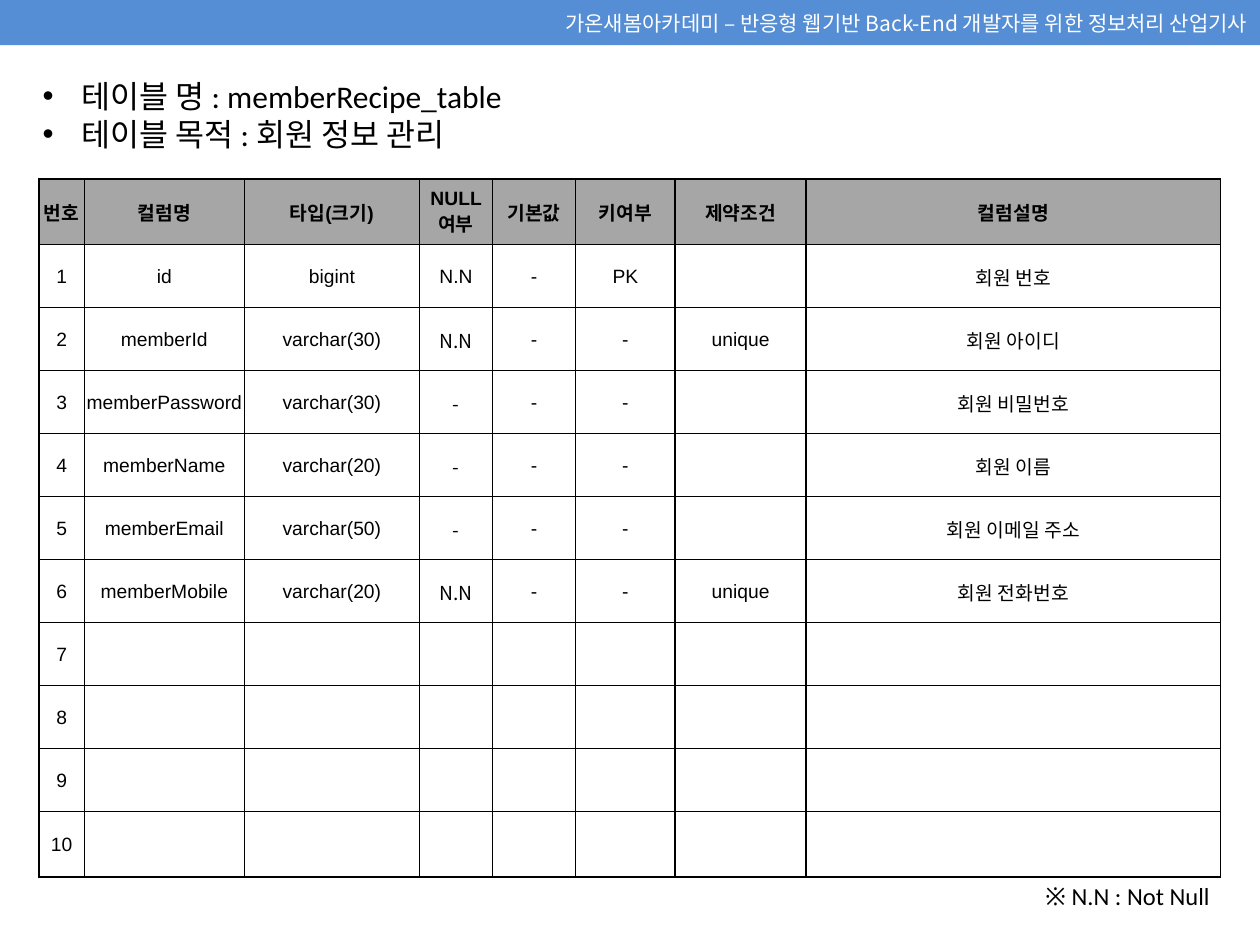
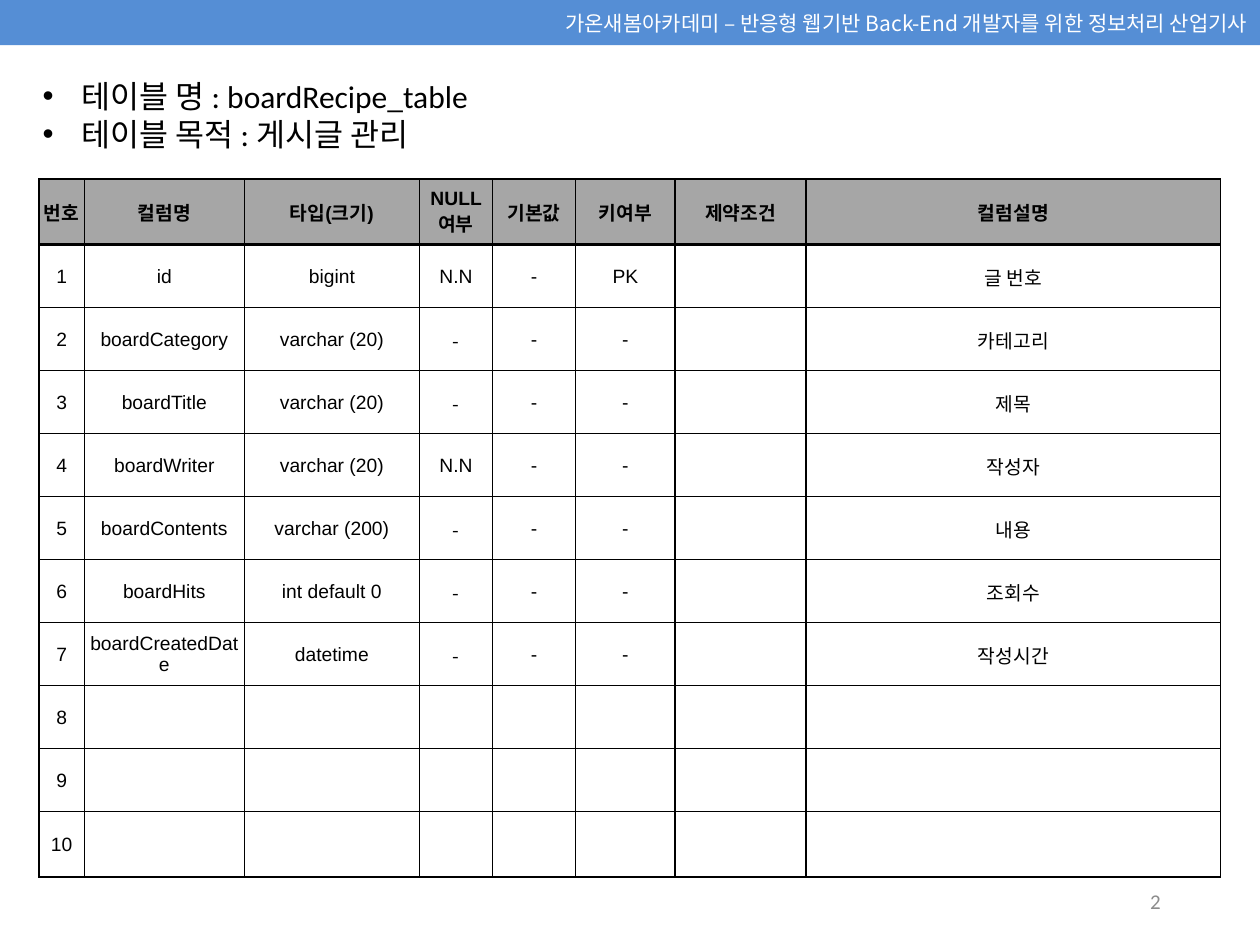
from dataclasses import dataclass
from typing import Optional

from lxml.etree import SubElement
from pptx import Presentation
from pptx.dml.color import RGBColor
from pptx.enum.shapes import MSO_SHAPE
from pptx.enum.text import MSO_ANCHOR, MSO_AUTO_SIZE, PP_ALIGN
from pptx.oxml.ns import qn
from pptx.util import Inches, Pt

COLORS = {
    "band": "558ED5",
    "header": "A6A6A6",
    "ink": "000000",
    "paper": "FFFFFF",
    "muted": "8C8C8C",
}
ARIAL, CALIBRI, NOTO = "Arial", "Calibri", "Noto Sans CJK KR"

COURSE = "가온새봄아카데미 – 반응형 웹기반 Back-End 개발자를 위한 정보처리 산업기사"
HEADINGS = ["번호", "컬럼명", "타입(크기)", "NULL 여부",
            "기본값", "키여부", "제약조건", "컬럼설명"]
COLUMN_WIDTHS = [0.36, 1.27, 1.39, 0.58, 0.66, 0.79, 1.04, 3.29]
NULL_COLUMN = HEADINGS.index("NULL 여부")
ENTRY_COUNT = 10
ROW_HEIGHTS = [0.52] + [0.5] * (ENTRY_COUNT - 1) + [0.52]


@dataclass
class Field:
    """One column of a database table."""
    name: str
    type: str
    meaning: str
    null: str = "-"
    key: str = "-"
    constraint: str = ""
    null_font: str = NOTO

    def values(self) -> list[str]:
        """Return the cell texts that follow the row number."""
        return [self.name, self.type, self.null, "-", self.key,
                self.constraint, self.meaning]


@dataclass
class TableSpec:
    """The content of one slide."""
    name: str
    purpose: str
    fields: list[Field]
    header_rule: float = 1
    note: Optional[str] = None
    numbered: bool = False


SPECS = [
    TableSpec("memberRecipe_table", "회원 정보 관리", [
        Field("id", "bigint", "회원 번호", "N.N", "PK", null_font=ARIAL),
        Field("memberId", "varchar(30)", "회원 아이디", "N.N", constraint="unique"),
        Field("memberPassword", "varchar(30)", "회원 비밀번호"),
        Field("memberName", "varchar(20)", "회원 이름"),
        Field("memberEmail", "varchar(50)", "회원 이메일 주소"),
        Field("memberMobile", "varchar(20)", "회원 전화번호", "N.N",
              constraint="unique"),
    ], note="※ N.N : Not Null"),
    TableSpec("boardRecipe_table", "게시글 관리", [
        Field("id", "bigint", "글 번호", "N.N", "PK", null_font=ARIAL),
        Field("boardCategory", "varchar (20)", "카테고리"),
        Field("boardTitle", "varchar (20)", "제목"),
        Field("boardWriter", "varchar (20)", "작성자", "N.N", null_font=ARIAL),
        Field("boardContents", "varchar (200)", "내용"),
        Field("boardHits", "int default 0", "조회수"),
        Field("boardCreatedDate", "datetime", "작성시간"),
    ], header_rule=2, numbered=True),
]


def style(paragraph, size: float, font: str, color: str = "ink",
          align=PP_ALIGN.LEFT, bold: bool = False) -> None:
    """Set the font, colour and alignment of a paragraph."""
    paragraph.alignment = align
    paragraph.font.size = Pt(size)
    paragraph.font.bold = bold
    paragraph.font.color.rgb = RGBColor.from_string(COLORS[color])
    paragraph.font.name = font
    defaults = paragraph._p.pPr.find(qn("a:defRPr"))
    SubElement(defaults, qn("a:ea"), typeface=NOTO)


def add_text_frame(slide, left: float, top: float, width: float, height: float):
    """Add a wrapping text box and return its text frame."""
    frame = slide.shapes.add_textbox(
        Inches(left), Inches(top), Inches(width), Inches(height)).text_frame
    frame.word_wrap = True
    return frame


def add_band(slide) -> None:
    """Draw the course band along the top edge."""
    band = slide.shapes.add_shape(
        MSO_SHAPE.RECTANGLE, 0, 0, Inches(10), Inches(0.36))
    band.shadow.inherit = False
    band.fill.solid()
    band.fill.fore_color.rgb = RGBColor.from_string(COLORS["band"])
    band.line.fill.background()
    band.text_frame.vertical_anchor = MSO_ANCHOR.MIDDLE
    band.text_frame.text = COURSE
    style(band.text_frame.paragraphs[0], 12, NOTO, "paper", PP_ALIGN.RIGHT)


def add_summary(slide, spec: TableSpec) -> None:
    """Add the bulleted name and purpose of the table."""
    frame = add_text_frame(slide, 0.24, 0.56, 9.49, 0.69)
    frame.auto_size = MSO_AUTO_SIZE.SHAPE_TO_FIT_TEXT
    frame.text = f"테이블 명 : {spec.name}\n테이블 목적 : {spec.purpose}"
    for paragraph in frame.paragraphs:
        properties = paragraph._p.get_or_add_pPr()
        properties.set("marL", str(Inches(0.31)))
        properties.set("indent", str(-Inches(0.31)))
        SubElement(properties, qn("a:buFont"), typeface=ARIAL)
        SubElement(properties, qn("a:buChar"), char="•")
        style(paragraph, 18, CALIBRI)


def set_borders(cell, top: float = 1, bottom: float = 1) -> None:
    """Rule all four sides of a cell, with widths in points."""
    properties = cell._tc.get_or_add_tcPr()
    for side, width in {"L": 1, "R": 1, "T": top, "B": bottom}.items():
        line = SubElement(properties, qn(f"a:ln{side}"), w=str(Pt(width)))
        fill = SubElement(line, qn("a:solidFill"))
        SubElement(fill, qn("a:srgbClr"), val=COLORS["ink"])


def fill_cell(cell, text: str, font: str = ARIAL, bold: bool = False) -> None:
    """Write centred text into a cell with narrow margins."""
    cell.vertical_anchor = MSO_ANCHOR.MIDDLE
    cell.margin_left = cell.margin_right = cell.margin_top = Inches(0.01)
    cell.margin_bottom = 0
    cell.text = text
    style(cell.text_frame.paragraphs[0], 11, font,
          align=PP_ALIGN.CENTER, bold=bold)


def add_field_table(slide, spec: TableSpec) -> None:
    """Add the grid that lists the fields of a database table."""
    grid = slide.shapes.add_table(
        len(ROW_HEIGHTS), len(HEADINGS), Inches(0.31), Inches(1.42),
        Inches(sum(COLUMN_WIDTHS)), Inches(sum(ROW_HEIGHTS))).table
    grid.first_row = grid.horz_banding = False
    for column, width in zip(grid.columns, COLUMN_WIDTHS):
        column.width = Inches(width)
    for row, height in zip(grid.rows, ROW_HEIGHTS):
        row.height = Inches(height)

    for index, heading in enumerate(HEADINGS):
        cell = grid.cell(0, index)
        set_borders(cell, bottom=spec.header_rule)
        cell.fill.solid()
        cell.fill.fore_color.rgb = RGBColor.from_string(COLORS["header"])
        fill_cell(cell, heading, bold=True)

    for number in range(1, ENTRY_COUNT + 1):
        field = spec.fields[number - 1] if number <= len(spec.fields) else None
        values = field.values() if field else [""] * (len(HEADINGS) - 1)
        for index, value in enumerate([str(number)] + values):
            cell = grid.cell(number, index)
            set_borders(cell, top=spec.header_rule if number == 1 else 1)
            cell.fill.background()
            is_null = field is not None and index == NULL_COLUMN
            fill_cell(cell, value, field.null_font if is_null else ARIAL)


def add_note(slide, note: str) -> None:
    """Add the legend below the table."""
    frame = add_text_frame(slide, 8.15, 6.94, 1.55, 0.34)
    frame.auto_size = MSO_AUTO_SIZE.SHAPE_TO_FIT_TEXT
    frame.text = note
    style(frame.paragraphs[0], 14, CALIBRI, align=PP_ALIGN.RIGHT)


def add_slide_number(slide, number: int) -> None:
    """Add the slide number as a live field."""
    frame = add_text_frame(slide, 7.06, 6.95, 2.25, 0.4)
    frame.vertical_anchor = MSO_ANCHOR.MIDDLE
    paragraph = frame.paragraphs[0]
    style(paragraph, 12, CALIBRI, "muted", PP_ALIGN.RIGHT)
    field = SubElement(paragraph._p, qn("a:fld"), type="slidenum",
                       id="{5B1C7D52-3A4E-4F60-9D21-8E7A6C4B2F10}")
    SubElement(field, qn("a:rPr"), lang="ko-KR")
    SubElement(field, qn("a:t")).text = str(number)


def main() -> None:
    """Build the slides and save them."""
    deck = Presentation()
    deck.slide_width, deck.slide_height = Inches(10), Inches(7.5)
    blank_layout = deck.slide_layouts[6]
    for number, spec in enumerate(SPECS, start=1):
        slide = deck.slides.add_slide(blank_layout)
        add_band(slide)
        if spec.numbered:
            add_slide_number(slide, number)
        add_summary(slide, spec)
        add_field_table(slide, spec)
        if spec.note:
            add_note(slide, spec.note)
    deck.save("out.pptx")


main()
